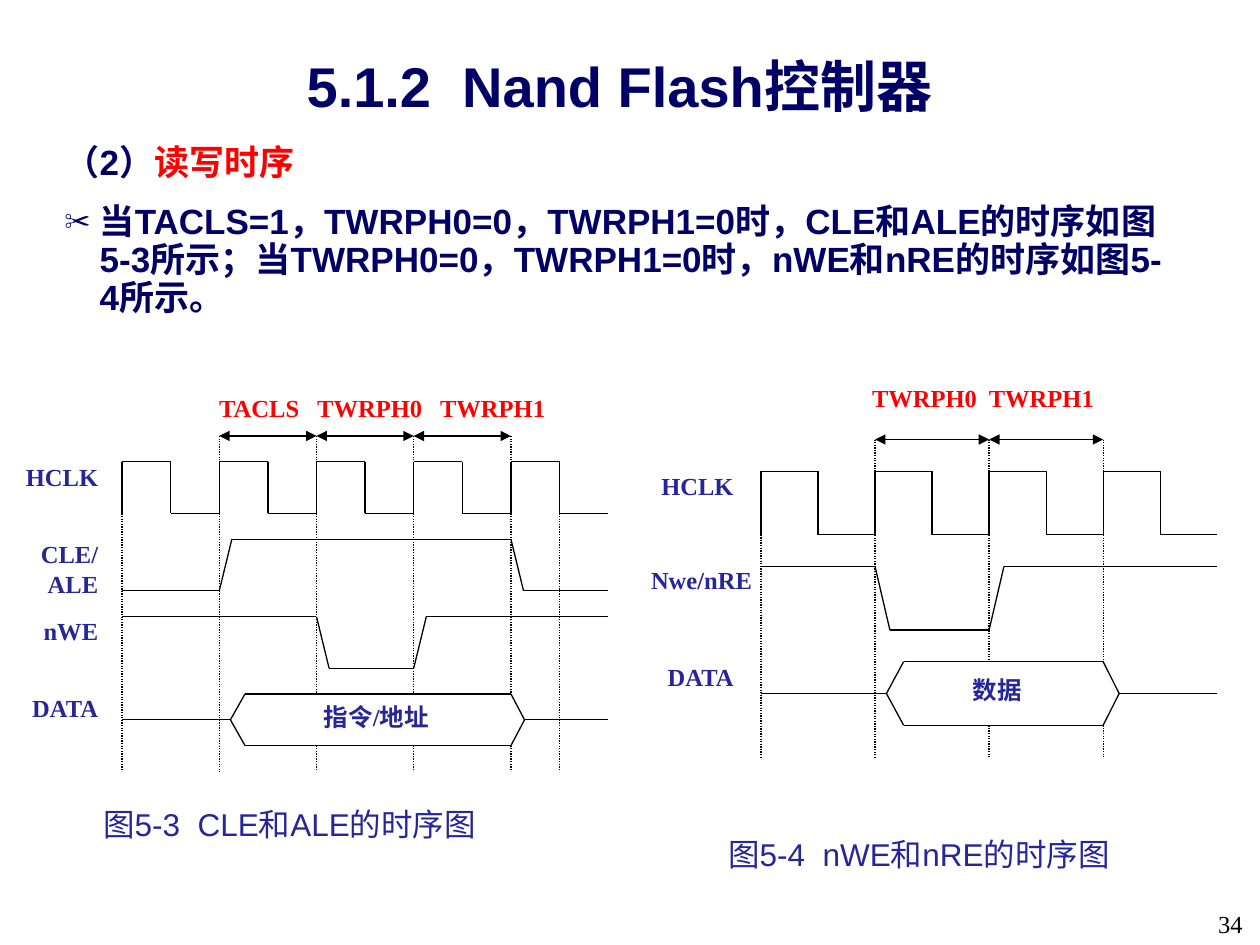
from lxml import etree
from pptx import Presentation
from pptx import util as u
from pptx.dml.color import RGBColor
from pptx.enum import dml, shapes, text
from pptx.oxml import ns

NAVY = RGBColor(0x00, 0x00, 0x66)
BLUE = RGBColor(0x26, 0x26, 0x99)
RED = RGBColor(0xFF, 0x00, 0x00)
BLACK = RGBColor(0x00, 0x00, 0x00)
INK = RGBColor(0x01, 0x00, 0x00)
SERIF = "Times New Roman"
SANS = "Arial"
AL = text.PP_ALIGN


def add_xml(parent, tag, **attrs):
    return etree.SubElement(parent, ns.qn(tag), attrs)


class TimingSlide:
    def __init__(self, prs):
        self.s = prs.slides.add_slide(prs.slide_layouts[1])
        self.shapes = self.s.shapes

    def grid(self, x0, dx, y0, dy):
        self.x0, self.dx, self.y0, self.dy = x0, dx, y0, dy
        self.shapes = self.s.shapes.add_group_shape().shapes

    def at(self, point):
        return (u.Cm(self.x0 + point[0] * self.dx),
                u.Cm(self.y0 + point[1] * self.dy))

    def line(self, a, b, dotted=False, arrows=False):
        c = self.shapes.add_connector(
            shapes.MSO_CONNECTOR.STRAIGHT, *self.at(a), *self.at(b))
        c.line.color.rgb = BLACK
        c.line.width = u.Pt(0.75)
        if dotted:
            c.line.dash_style = dml.MSO_LINE.ROUND_DOT
        if arrows:
            ln = c.line._get_or_add_ln()
            add_xml(ln, "a:headEnd", type="triangle")
            add_xml(ln, "a:tailEnd", type="triangle")
        add_xml(c._element.spPr, "a:effectLst")

    def wave(self, *points):
        for a, b in zip(points, points[1:]):
            self.line(a, b)

    def clock(self, pulses):
        points = []
        for x in range(0, 2 * pulses, 2):
            points += [(x, 3), (x, 1), (x + 1, 1), (x + 1, 3)]
        self.wave(*points, (2 * pulses, 3))

    def bus(self, left, right, end, top):
        mid, low = top + 1, top + 2
        tip = (left, mid)
        self.wave(tip, (left + 0.3, top), (right, top), (right + 0.28, mid),
                  (right, low), (left + 0.3, low), tip)
        self.wave((0, mid), tip)
        self.wave((right + 0.28, mid), (end, mid))

    def guides(self, xs, spans):
        for x in xs:
            for top, bottom in spans:
                self.line((x, top), (x, bottom), dotted=True)

    def spans(self, xs):
        for a, b in zip(xs, xs[1:]):
            self.line((a, 0), (b, 0), arrows=True)

    def run(self, p, words, size, color, font=SERIF, bold=True):
        r = p.add_run()
        r.text = words
        f = r.font
        f.size, f.name, f.bold = u.Pt(size), font, bold
        f.color.rgb = color

    def label(self, words, box, align=AL.RIGHT, color=BLUE, size=14,
              font=SERIF, bold=True, inset=(0, 0), wrap=True):
        tf = self.shapes.add_textbox(*map(u.Cm, box)).text_frame
        tf.word_wrap = wrap
        tf.margin_left = tf.margin_right = u.Cm(inset[0])
        tf.margin_top = tf.margin_bottom = u.Cm(inset[1])
        p = tf.paragraphs[0]
        p.alignment = align
        self.run(p, words, size, color, font, bold)

    def caption(self, words, box):
        self.shapes = self.s.shapes
        self.label(words, box, AL.LEFT, size=18, font=SANS, bold=False,
                   inset=(0.25, 0.13), wrap=False)

    def placeholder(self, sp, box):
        sp.left, sp.top, sp.width, sp.height = map(u.Cm, box)
        tf = sp.text_frame
        tf.auto_size = text.MSO_AUTO_SIZE.NONE
        tf.margin_left = tf.margin_right = u.Cm(0.23)
        tf.margin_top = tf.margin_bottom = u.Cm(0.13)
        return tf

    def title(self, words, box):
        tf = self.placeholder(self.s.shapes.title, box)
        tf.vertical_anchor = text.MSO_ANCHOR.MIDDLE
        p = tf.paragraphs[0]
        p.alignment, p.line_spacing = AL.CENTER, 0.9
        self.run(p, words, 32, NAVY, SANS)

    def body(self, items, box):
        tf = self.placeholder(self.s.placeholders[1], box)
        for i, (bullet, runs) in enumerate(items):
            p = tf.add_paragraph() if i else tf.paragraphs[0]
            p.line_spacing, p.space_before = 0.9, u.Pt(12.5)
            pPr = p._p.get_or_add_pPr()
            pPr.set("marL", str(u.Cm(0.71)))
            pPr.set("indent", str(u.Cm(-0.71)))
            if bullet:
                add_xml(add_xml(pPr, "a:buClr"), "a:srgbClr", val=str(NAVY))
                add_xml(pPr, "a:buSzPct", val="75000")
                add_xml(pPr, "a:buChar", char=bullet)
            else:
                add_xml(pPr, "a:buNone")
            for words, color in runs:
                self.run(p, words, 20, color, SANS)


def main():
    prs = Presentation()
    prs.slide_width, prs.slide_height = u.Cm(25.4), u.Cm(19.05)
    t = TimingSlide(prs)
    t.title("5.1.2  Nand Flash控制器", (1.7, 1.07, 21.59, 1.47))
    t.body([
        (None, [("（2）", NAVY), ("读写时序", RED)]),
        ("✂", [("当TACLS=1，TWRPH0=0，TWRPH1=0时，CLE和ALE的时序如图5-3所示；"
                "当TWRPH0=0，TWRPH1=0时，nWE和nRE的时序如图5-4所示。", NAVY)]),
    ], (1.07, 2.79, 22.86, 3.76))
    t.label("34", (23.37, 18.19, 1.93, 0.86), color=INK, bold=False,
            inset=(0.25, 0.13))

    t.grid(2.46, 0.98, 8.79, 0.52)
    t.guides([0, 9], [(3, 13)])
    t.guides([2], [(0, 13)])
    t.guides([4, 6, 8], [(0, 10), (12, 13)])
    t.spans([2, 4, 6, 8])
    t.clock(5)
    t.wave((0, 6), (2, 6), (2.26, 4), (8, 4), (8.26, 6), (10, 6))
    t.wave((0, 7), (4, 7), (4.26, 9), (6, 9), (6.26, 7), (10, 7))
    t.bus(2.23, 8, 10, 10)
    t.label("TACLS   TWRPH0   TWRPH1", (4.42, 7.92, 7.37, 1.04),
            AL.JUSTIFY, RED)
    t.label("指令/地址", (4.88, 14.15, 5.41, 1.02), AL.CENTER)
    for i, name in enumerate(["HCLK", "CLE/ALE", "nWE", "DATA"]):
        t.label(name, (0, 9.32 + 1.55 * i, 1.98, 1.04))

    t.grid(15.34, 1.15, 8.86, 0.64)
    t.guides([0], [(3, 10)])
    t.guides([2], [(0, 10)])
    t.guides([4, 6], [(0, 7), (9, 10)])
    t.spans([2, 4, 6])
    t.clock(4)
    t.wave((0, 4), (2, 4), (2.26, 6), (4, 6), (4.26, 4), (8, 4))
    t.bus(2.2, 6, 8, 7)
    t.label("TWRPH0  TWRPH1", (17.58, 7.72, 5.23, 1.27), AL.JUSTIFY, RED)
    t.label("数据", (18.82, 13.61, 2.57, 0.91), AL.CENTER)
    t.label("HCLK", (12.88, 9.5, 1.91, 1.24))
    t.label("Nwe/nRE", (12.29, 11.4, 2.87, 1.27))
    t.label("DATA", (12.88, 13.34, 1.91, 1.3))

    t.caption("图5-3  CLE和ALE的时序图", (1.83, 16.1, 8.76, 1.02))
    t.caption("图5-4  nWE和nRE的时序图", (14.43, 16.71, 8.94, 1.02))
    prs.save("out.pptx")


if __name__ == "__main__":
    main()
